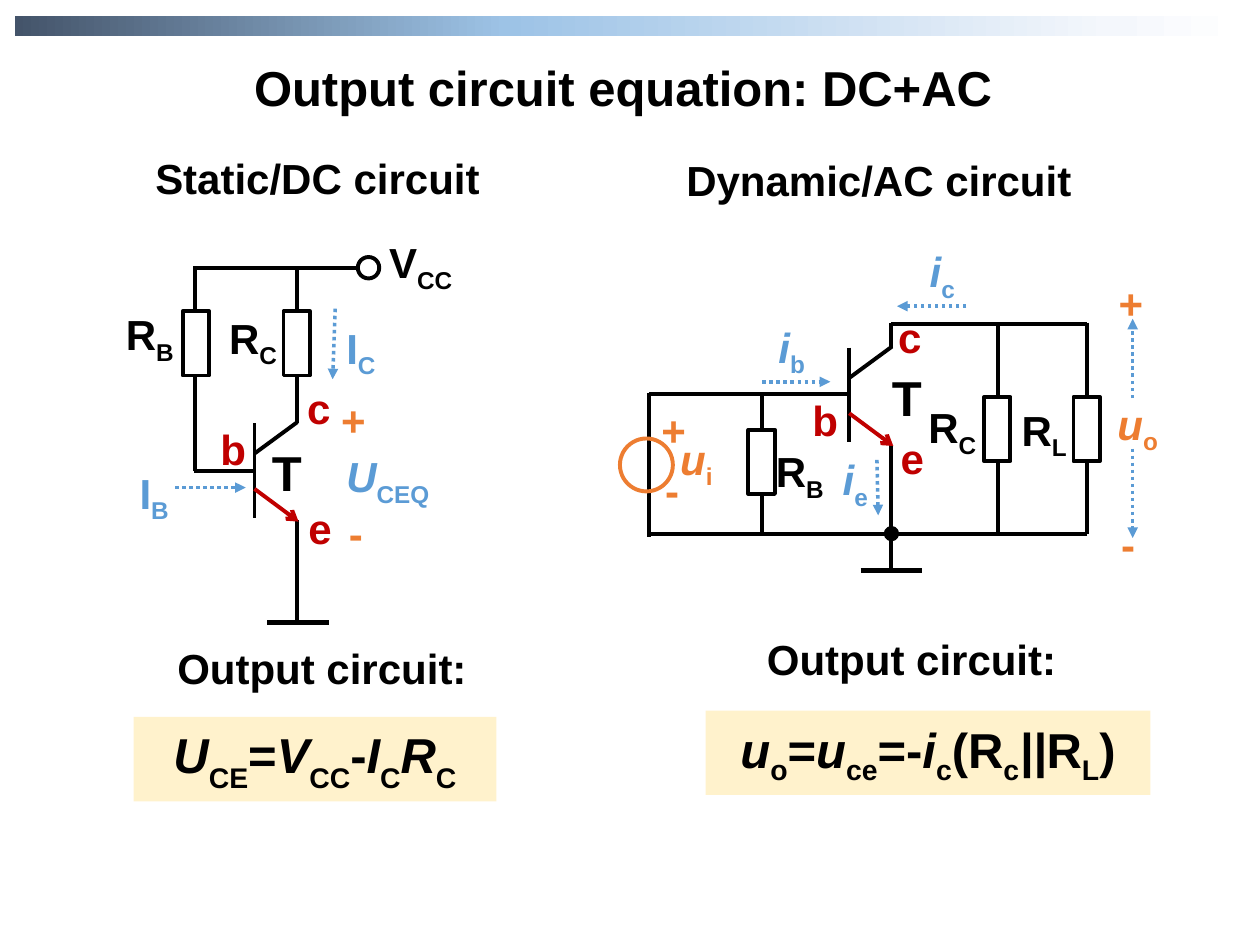
from copy import deepcopy

from pptx import Presentation
from pptx.dml.color import RGBColor
from pptx.enum.dml import MSO_LINE
from pptx.enum.shapes import MSO_CONNECTOR, MSO_SHAPE
from pptx.enum.text import MSO_ANCHOR, MSO_AUTO_SIZE, PP_ALIGN
from pptx.oxml.ns import qn
from pptx.oxml.xmlchemy import OxmlElement
from pptx.util import Inches, Pt

RECT, OVAL = MSO_SHAPE.RECTANGLE, MSO_SHAPE.OVAL
STRAIGHT, DOTTED = MSO_CONNECTOR.STRAIGHT, MSO_LINE.ROUND_DOT
LEFT, CENTER = PP_ALIGN.LEFT, PP_ALIGN.CENTER

THEME = {
    "font": "Arial", "title": 28, "body": 24, "wire": 2.25, "ground": 3, "arrow": 2,
    "ink": "000000", "white": "FFFFFF", "pin": "C00000", "current": "5B9BD5",
    "signal": "ED7D31", "panel": "FFF2CC",
    "band": [(0, "44546A"), (0.4, "9DC3E6"), (0.89, "F4F7FC"), (1, "FFFFFF")],
}

TITLE = ("Output circuit equation: DC+AC", (0.59, 0.41, 8.71, 0.57))
HEADINGS = [
    ("Static/DC circuit", (1.04, 1.16, 2.96, 0.5)),
    ("Dynamic/AC circuit", (5.3, 1.18, 3.35, 0.5)),
    ("Output circuit:", (1.23, 5.05, 2.65, 0.5)),
    ("Output circuit:", (5.91, 4.98, 2.65, 0.5)),
]
# Run styles: n normal, i italic, s subscript
EQUATIONS = [
    ((1.06, 5.69, 2.88, 0.67), -30,
     [("U", "i"), ("CE", "s"), ("=", "n"), ("V", "i"), ("CC", "s"), ("-", "n"),
      ("I", "i"), ("C", "s"), ("R", "i"), ("C", "s")]),
    ((5.6, 5.64, 3.53, 0.67), -25,
     [("u", "i"), ("o", "s"), ("=", "n"), ("u", "i"), ("ce", "s"), ("=-", "n"),
      ("i", "i"), ("c", "s"), ("(R", "n"), ("c", "s"), ("||", "i"), ("R", "n"),
      ("L", "s"), (")", "n")]),
]

WIRES = [
    (1.54, 3.74, 2.02, 3.74), (2.36, 3.36, 2.36, 2.11), (2.36, 4.13, 2.36, 4.93),
    (1.55, 3.74, 1.55, 2.11), (1.54, 2.13, 2.85, 2.13),
    (5.15, 3.13, 6.74, 3.13), (7.07, 2.76, 7.07, 2.56), (7.07, 3.53, 7.07, 4.53),
    (6.05, 3.13, 6.05, 4.23), (7.92, 2.57, 7.92, 4.23), (8.63, 2.56, 8.63, 4.24),
    (5.15, 3.12, 5.15, 4.26), (5.15, 4.24, 8.63, 4.24),
    (7.07, 2.57, 7.82, 2.57), (7.82, 2.57, 8.63, 2.57),
]
TRANSISTORS = [(2.02, 3.36), (6.74, 2.76)]
GROUNDS = [(2.12, 4.94), (6.83, 4.53)]
GROUND_WIDTH = 0.49
RESISTORS = [(1.3, 2.62), (2.1, 2.62), (5.79, 3.56), (7.66, 3.3), (8.37, 3.3)]
CIRCLES = [
    (2.84, 2.04, 0.17, "white", "ink"),
    (7.03, 4.19, 0.09, "ink", "ink"),
    (4.92, 3.48, 0.42, None, "signal"),
]
ARROWS = [
    (1.39, 3.87, 1.95, 3.87), (2.66, 2.45, 2.64, 3.01),
    (7.67, 2.43, 7.12, 2.43), (6.05, 3.03, 6.59, 3.03), (6.96, 3.65, 6.97, 4.09),
    (8.99, 3.56, 8.99, 4.27), (8.99, 3.16, 8.99, 2.53),
]

QUANTITIES = [
    ("V", "CC", 2.99, 1.83, 0.79, "ink", "n"), ("R", "C", 1.72, 2.43, 0.79, "ink", "n"),
    ("R", "B", 0.9, 2.4, 0.64, "ink", "n"), ("R", "C", 7.27, 3.14, 0.79, "ink", "n"),
    ("R", "B", 6.06, 3.49, 0.64, "ink", "n"), ("R", "L", 8.01, 3.16, 0.79, "ink", "n"),
    ("I", "B", 1.01, 3.66, 0.64, "current", "n"), ("I", "C", 2.65, 2.51, 0.64, "current", "n"),
    ("U", "CEQ", 2.65, 3.53, 0.98, "current", "i"),
    ("i", "c", 7.28, 1.9, 0.64, "current", "i"), ("i", "b", 6.08, 2.5, 0.64, "current", "i"),
    ("i", "e", 6.59, 3.55, 0.64, "current", "i"),
    ("u", "i", 5.3, 3.39, 0.52, "signal", "i"), ("u", "o", 8.77, 3.11, 0.64, "signal", "i"),
]
MARKS = {
    "T": (0.53, 0.57, "ink", "title", [(2.06, 3.46), (6.98, 2.87)]),
    "b": (0.47, 0.5, "pin", "body", [(1.65, 3.31), (6.35, 3.08)]),
    "c": (0.47, 0.5, "pin", "body", [(2.34, 2.99), (7.03, 2.42)]),
    "e": (0.47, 0.5, "pin", "body", [(2.35, 3.94), (7.05, 3.38)]),
    "+": (0.64, 0.5, "signal", "body", [(2.61, 3.08), (5.15, 3.16), (8.78, 2.15)]),
    "-": (0.41, 0.5, "signal", "body", [(2.67, 3.98), (5.18, 3.64), (8.8, 4.07)]),
}


def color(name):
    return RGBColor.from_string(THEME[name])


def write(sp, runs, size="body", ink="ink", align=LEFT, drop=-25):
    tf = sp.text_frame
    tf.word_wrap = True
    p = tf.paragraphs[0]
    p.alignment = align
    p.font.name, p.font.size, p.font.bold = THEME["font"], Pt(THEME[size]), True
    p.font.color.rgb = color(ink)
    for text, style in runs:
        r = p.add_run()
        r.text = text
        if style == "i":
            r.font.italic = True
        elif style == "s":
            r.font._element.set("baseline", str(drop * 1000))


def add_label(s, box, runs, **style):
    sp = s.shapes.add_textbox(*map(Inches, box))
    write(sp, runs, **style)
    sp.text_frame.auto_size = MSO_AUTO_SIZE.SHAPE_TO_FIT_TEXT


def add_box(s, kind, box, fill=None, line=None):
    sp = s.shapes.add_shape(kind, *map(Inches, box))
    sp.shadow.inherit = False
    if fill:
        sp.fill.solid()
        sp.fill.fore_color.rgb = color(fill)
    else:
        sp.fill.background()
    if line:
        sp.line.color.rgb = color(line)
        sp.line.width = Pt(THEME["wire"])
    else:
        sp.line.fill.background()
    return sp


def add_line(s, ends, ink="ink", width="wire", head=None, dash=None):
    c = s.shapes.add_connector(STRAIGHT, *map(Inches, ends))
    c.line.color.rgb = color(ink)
    c.line.width = Pt(THEME[width])
    if dash:
        c.line.dash_style = dash
    if head:
        tail = OxmlElement("a:tailEnd")
        tail.set("type", head)
        c.line._get_or_add_ln().append(tail)
    c._element.spPr.append(OxmlElement("a:effectLst"))


def add_band(s):
    sp = add_box(s, RECT, (0.12, 0.13, 9.76, 0.16))
    sp.fill.gradient()
    sp.fill.gradient_angle = 0
    stops = sp._element.spPr.find(".//" + qn("a:gsLst"))
    while len(stops) < len(THEME["band"]):
        stops.append(deepcopy(stops[0]))
    for stop, (position, rgb) in zip(sp.fill.gradient_stops, THEME["band"]):
        stop.position = position
        stop.color.rgb = RGBColor.from_string(rgb)


def add_transistor(s, x, y):
    add_line(s, (x, y, x, y + 0.75))
    add_line(s, (x, y + 0.24, x + 0.34, y - 0.01))
    add_line(s, (x, y + 0.52, x + 0.35, y + 0.78), "pin", head="arrow")


def add_circuits(s):
    for ends in WIRES:
        add_line(s, ends)
    for x, y in TRANSISTORS:
        add_transistor(s, x, y)
    for x, y in GROUNDS:
        add_line(s, (x, y, x + GROUND_WIDTH, y), width="ground")
    for x, y in RESISTORS:
        add_box(s, RECT, (x, y, 0.51, 0.21), "white", "ink").rotation = 270
    for x, y, size, fill, line in CIRCLES:
        add_box(s, OVAL, (x, y, size, size), fill, line)
    for ends in ARROWS:
        add_line(s, ends, "current", "arrow", "triangle", DOTTED)
    for symbol, sub, x, y, w, ink, style in QUANTITIES:
        add_label(s, (x, y, w, 0.59), [(symbol, style), (sub, "s")], ink=ink)
    for mark, (w, h, ink, size, places) in MARKS.items():
        for x, y in places:
            add_label(s, (x, y, w, h), [(mark, "n")], ink=ink, size=size)


def main():
    prs = Presentation()
    prs.slide_width, prs.slide_height = Inches(10), Inches(7.5)
    s = prs.slides.add_slide(prs.slide_layouts[5])
    text, box = TITLE
    title = s.shapes.title
    title.left, title.top, title.width, title.height = map(Inches, box)
    title.text_frame.vertical_anchor = MSO_ANCHOR.TOP
    title.text_frame.auto_size = MSO_AUTO_SIZE.NONE
    write(title, [(text, "n")], size="title", align=CENTER)

    add_band(s)
    add_circuits(s)
    for text, box in HEADINGS:
        add_label(s, box, [(text, "n")], align=CENTER)
    for box, drop, runs in EQUATIONS:
        write(add_box(s, RECT, box, "panel"), runs, size="title", align=CENTER, drop=drop)
    prs.save("out.pptx")


if __name__ == "__main__":
    main()
